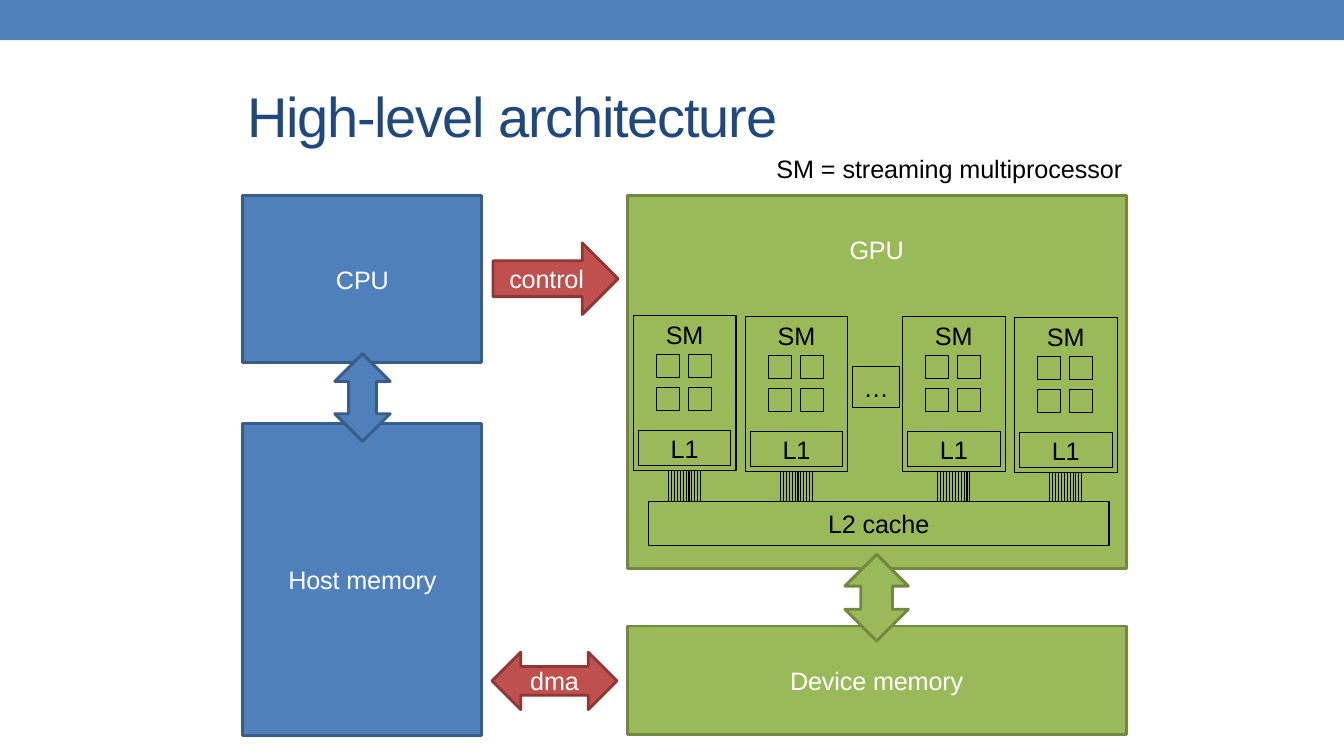
from pptx import Presentation
from pptx.dml.color import RGBColor
from pptx.enum.shapes import MSO_SHAPE
from pptx.enum.text import MSO_ANCHOR, PP_ALIGN
from pptx.util import Inches, Pt

RECTANGLE = MSO_SHAPE.RECTANGLE
RIGHT = MSO_SHAPE.RIGHT_ARROW
LEFT_RIGHT = MSO_SHAPE.LEFT_RIGHT_ARROW
UP_DOWN = MSO_SHAPE.UP_DOWN_ARROW
TOP, MIDDLE = MSO_ANCHOR.TOP, MSO_ANCHOR.MIDDLE
LEFT, CENTER = PP_ALIGN.LEFT, PP_ALIGN.CENTER

WHITE = RGBColor(0xFF, 0xFF, 0xFF)
BLACK = RGBColor(0, 0, 0)
NAVY = RGBColor(0x1F, 0x48, 0x7C)
BLUE = RGBColor(0x4F, 0x80, 0xBC)
BLUE_EDGE = RGBColor(0x38, 0x5D, 0x89)
GREEN = RGBColor(0x9A, 0xBA, 0x59)
GREEN_EDGE = RGBColor(0x70, 0x88, 0x3F)
RED = RGBColor(0xC0, 0x50, 0x4D)
RED_EDGE = RGBColor(0x8B, 0x38, 0x36)

TITLE = "High-level architecture"
LEGEND = "SM = streaming multiprocessor"

# preset, (left, top, width, height), fill, edge, label, top inset if anchored at the top
BLOCKS = [
    (RECTANGLE, (2.41, 1.94, 2.37, 1.66), BLUE, BLUE_EDGE, "CPU", None),
    (RECTANGLE, (2.41, 4.2, 2.37, 3.1), BLUE, BLUE_EDGE, "Host memory", None),
    (RECTANGLE, (6.22, 1.94, 4.95, 3.7), GREEN, GREEN_EDGE, "GPU", 0.38),
    (RECTANGLE, (6.22, 6.21, 4.95, 1.08), GREEN, GREEN_EDGE, "Device memory", None),
    (UP_DOWN, (3.32, 3.51, 0.55, 0.87), BLUE, BLUE_EDGE, "", None),
    (LEFT_RIGHT, (4.88, 6.47, 1.24, 0.57), RED, RED_EDGE, "dma", None),
    (RIGHT, (4.89, 2.41, 1.24, 0.71), RED, RED_EDGE, "control", None),
    (UP_DOWN, (8.38, 5.5, 0.63, 0.86), GREEN, GREEN_EDGE, "", None),
]
L2_CACHE = ("L2 cache", (6.43, 4.98, 4.57, 0.43))
MORE_UNITS = ("…", (8.46, 3.64, 0.46, 0.4))

SM_ORIGINS = [(6.28, 3.13), (7.39, 3.14), (8.95, 3.14), (10.06, 3.15)]
SM_WIDTH, SM_HEIGHT = 1.02, 1.54
CORE_X, CORE_Y, CORE_SIZE, CORE_PITCH = 0.23, 0.39, 0.23, 0.32
BUS_X, BUS_WIDTH, BUS_LINES, BUS_BOTTOM = 0.35, 0.32, 12, 4.97


def write_text(shape, text, color, size=18, spacing=-0.1, align=CENTER,
               anchor=MIDDLE, top_inset=0):
    frame = shape.text_frame
    settings = {"margin_left": 0, "margin_right": 0, "margin_bottom": 0,
                "margin_top": Inches(top_inset), "word_wrap": False,
                "vertical_anchor": anchor, "text": text}
    for name, value in settings.items():
        setattr(frame, name, value)
    paragraph = frame.paragraphs[0]
    paragraph.alignment = align
    run = paragraph.runs[0]
    for name, value in {"name": "Arial", "size": Pt(size), "bold": False}.items():
        setattr(run.font, name, value)
    run.font.color.rgb = color
    run.font._element.set("spc", str(round(spacing * 100)))


def paint(shape, fill=None, edge=None, edge_width=2.08):
    shape.shadow.inherit = False
    if fill is None:
        shape.fill.background()
    else:
        shape.fill.solid()
        shape.fill.fore_color.rgb = fill
    if edge is None:
        shape.line.fill.background()
    else:
        shape.line.color.rgb = edge
        shape.line.width = Pt(edge_width)


def add_block(slide, preset, box, **colors):
    shape = slide.shapes.add_shape(preset, *map(Inches, box))
    paint(shape, **colors)
    return shape


def add_outline(slide, box, text="", **text_format):
    """Add an unfilled box with a thin black edge."""
    shape = add_block(slide, RECTANGLE, box, edge=BLACK, edge_width=0.75)
    if text:
        write_text(shape, text, BLACK, **text_format)


def add_bus(slide, left, top):
    """Draw the parallel wires from a multiprocessor down to the L2 cache."""
    builder = slide.shapes.build_freeform(Inches(left), Inches(top))
    for index in range(BUS_LINES):
        x = Inches(left + index * BUS_WIDTH / (BUS_LINES - 1))
        if index:
            builder.move_to(x, Inches(top))
        builder.add_line_segments([(x, Inches(BUS_BOTTOM))], close=False)
    paint(builder.convert_to_shape(), edge=BLACK, edge_width=0.75)


def add_multiprocessor(slide, left, top):
    add_outline(slide, (left, top, SM_WIDTH, SM_HEIGHT), "SM",
                anchor=TOP, top_inset=0.04)
    add_outline(slide, (left + 0.05, top + 1.14, 0.92, 0.35), "L1")
    for row in range(2):
        for column in range(2):
            add_outline(slide, (left + CORE_X + column * CORE_PITCH,
                                top + CORE_Y + row * CORE_PITCH,
                                CORE_SIZE, CORE_SIZE))
    add_bus(slide, left + BUS_X, top + SM_HEIGHT)


def main():
    presentation = Presentation()
    presentation.slide_width = Inches(13.33)
    presentation.slide_height = Inches(7.5)
    slide = presentation.slides.add_slide(presentation.slide_layouts[5])

    title = slide.shapes.title
    title.left, title.top, title.width, title.height = map(
        Inches, (2.45, 0.8, 10.5, 0.69))
    write_text(title, TITLE, NAVY, size=40, spacing=-0.85, align=LEFT,
               anchor=TOP, top_inset=0.01)

    add_block(slide, RECTANGLE, (0, 0, 13.33, 0.4), fill=BLUE)
    for preset, box, fill, edge, label, top_inset in BLOCKS:
        shape = add_block(slide, preset, box, fill=fill, edge=edge)
        if label:
            write_text(shape, label, WHITE, anchor=MIDDLE if top_inset is None else TOP,
                       top_inset=top_inset or 0)

    for left, top in SM_ORIGINS:
        add_multiprocessor(slide, left, top)
    for label, box in (L2_CACHE, MORE_UNITS):
        add_outline(slide, box, label)

    legend = slide.shapes.add_textbox(*map(Inches, (7.7, 1.51, 3.48, 0.33)))
    write_text(legend, LEGEND, BLACK, spacing=-0.05, align=LEFT,
               anchor=TOP, top_inset=0.01)
    presentation.save("out.pptx")


if __name__ == "__main__":
    main()
